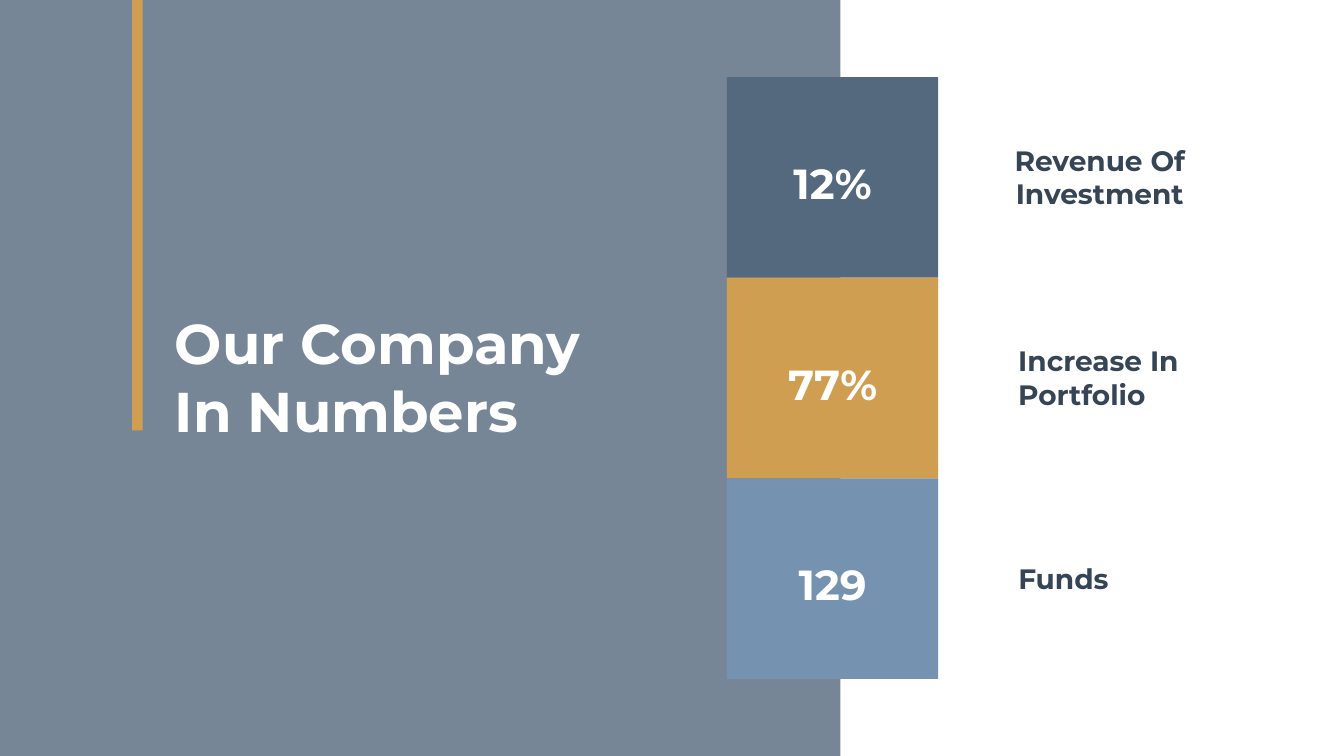
"""Build the company numbers slide with three stacked figure tiles."""
from dataclasses import dataclass

from lxml import etree
from pptx import Presentation
from pptx.dml.color import RGBColor as RGB
from pptx.enum.shapes import MSO_SHAPE as SHAPE
from pptx.enum.text import MSO_ANCHOR as ANCHOR, MSO_AUTO_SIZE as AUTO, PP_ALIGN as ALIGN
from pptx.oxml.ns import qn
from pptx.util import Inches, Pt


@dataclass(frozen=True)
class Theme:
    font: str = "Montserrat"
    slate: str = "54687E"
    gold: str = "CF9E50"
    blue: str = "7592B0"
    ink: str = "364556"
    white: str = "FFFFFF"
    title: int = 80
    figure: int = 60
    label: int = 40


theme = Theme()


def add_rect(s, left, top, width, height, color):
    sp = s.shapes.add_shape(SHAPE.RECTANGLE, *map(Inches, (left, top, width, height)))
    sp.shadow.inherit = False
    sp.fill.solid()
    sp.fill.fore_color.rgb = RGB.from_string(color)
    sp.line.fill.background()
    return sp


def set_text(sp, text, size, color, align):
    tf = sp.text_frame
    for name, value in {"word_wrap": True, "auto_size": AUTO.NONE,
                        "vertical_anchor": ANCHOR.TOP}.items():
        setattr(tf, name, value)
    p = tf.paragraphs[0]
    p.alignment = align
    r = p.add_run()
    r.text = text
    for name, value in {"name": theme.font, "size": Pt(size), "bold": True}.items():
        setattr(r.font, name, value)
    r.font.color.rgb = RGB.from_string(color)


prs = Presentation()
prs.slide_width, prs.slide_height = Inches(26.66), Inches(15)
s = prs.slides.add_slide(prs.slide_layouts[5])

panel = add_rect(s, 0, 0, 16.67, 15, theme.slate)
fill_color = panel.element.spPr.find(qn("a:solidFill"))[0]
etree.SubElement(fill_color, qn("a:alpha"), val="80000")
s.shapes.element.insert(2, panel.element)

title = s.shapes.title
title.left, title.top, title.width, title.height = map(Inches, (3.37, 6.08, 9.32, 2.79))
set_text(title, "Our Company In Numbers", theme.title, theme.white, ALIGN.LEFT)

tile_left, tile_top, tile_width, tile_height = 14.42, 1.53, 4.19, 3.98
rows = [
    ("12%", theme.slate, "Revenue Of Investment", 19.43, 4.77, 1.45, ALIGN.CENTER),
    ("77%", theme.gold, "Increase In Portfolio", 20.1, 4.1, 1.45, ALIGN.LEFT),
    ("129", theme.blue, "Funds", 20.1, 2.28, 0.77, ALIGN.LEFT),
]
for i, (figure, color, label, left, width, height, align) in enumerate(rows):
    top = tile_top + i * tile_height
    add_rect(s, tile_left, top, tile_width, tile_height, color)
    figure_box = s.shapes.add_textbox(*map(Inches, (15.24, top + 1.55, 2.55, 1.11)))
    set_text(figure_box, figure, theme.figure, theme.white, ALIGN.CENTER)
    label_top = top + (tile_height - height) / 2
    label_box = s.shapes.add_textbox(*map(Inches, (left, label_top, width, height)))
    set_text(label_box, label, theme.label, theme.ink, align)

add_rect(s, 2.62, 0, 0.21, 8.54, theme.gold)

prs.save("out.pptx")
